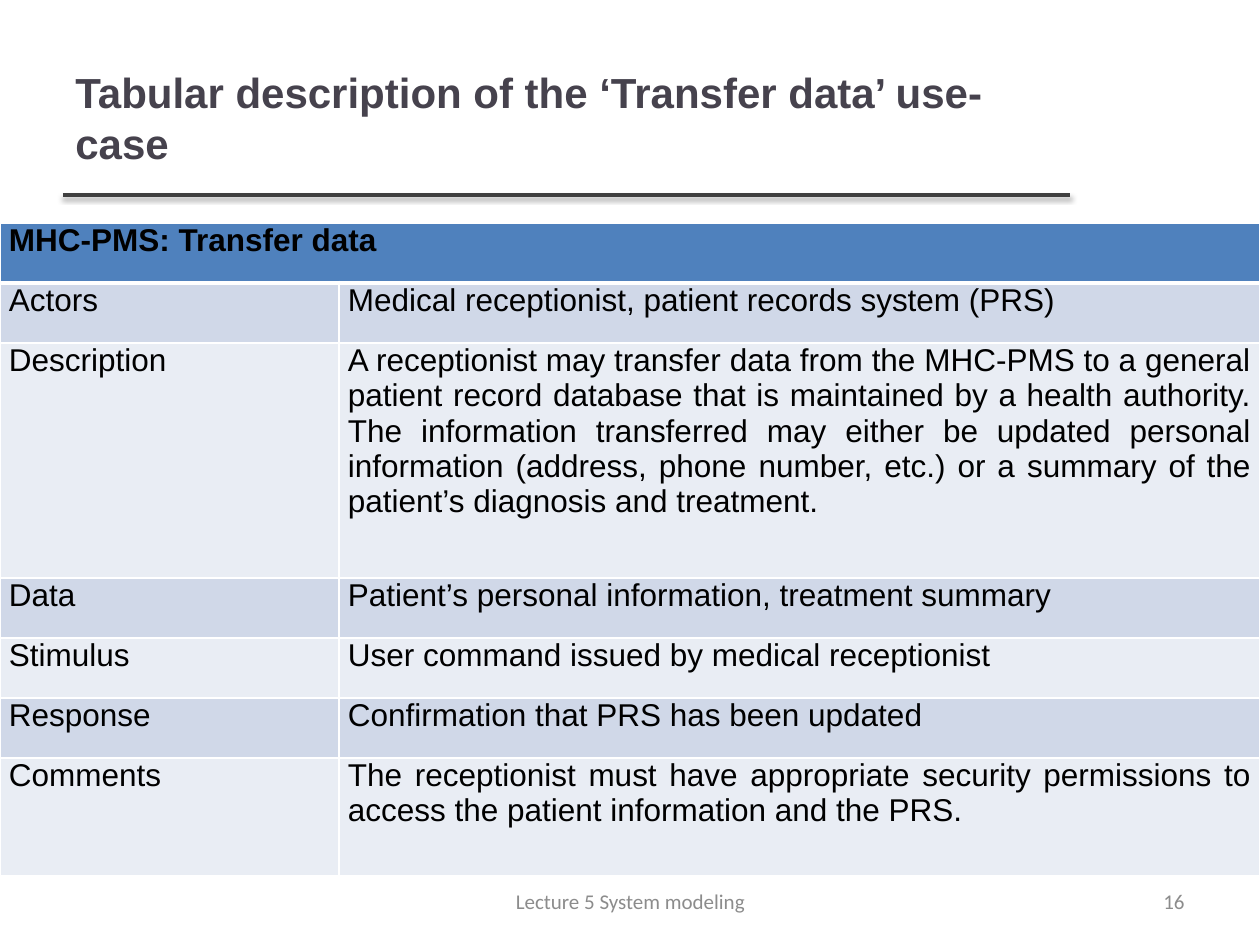
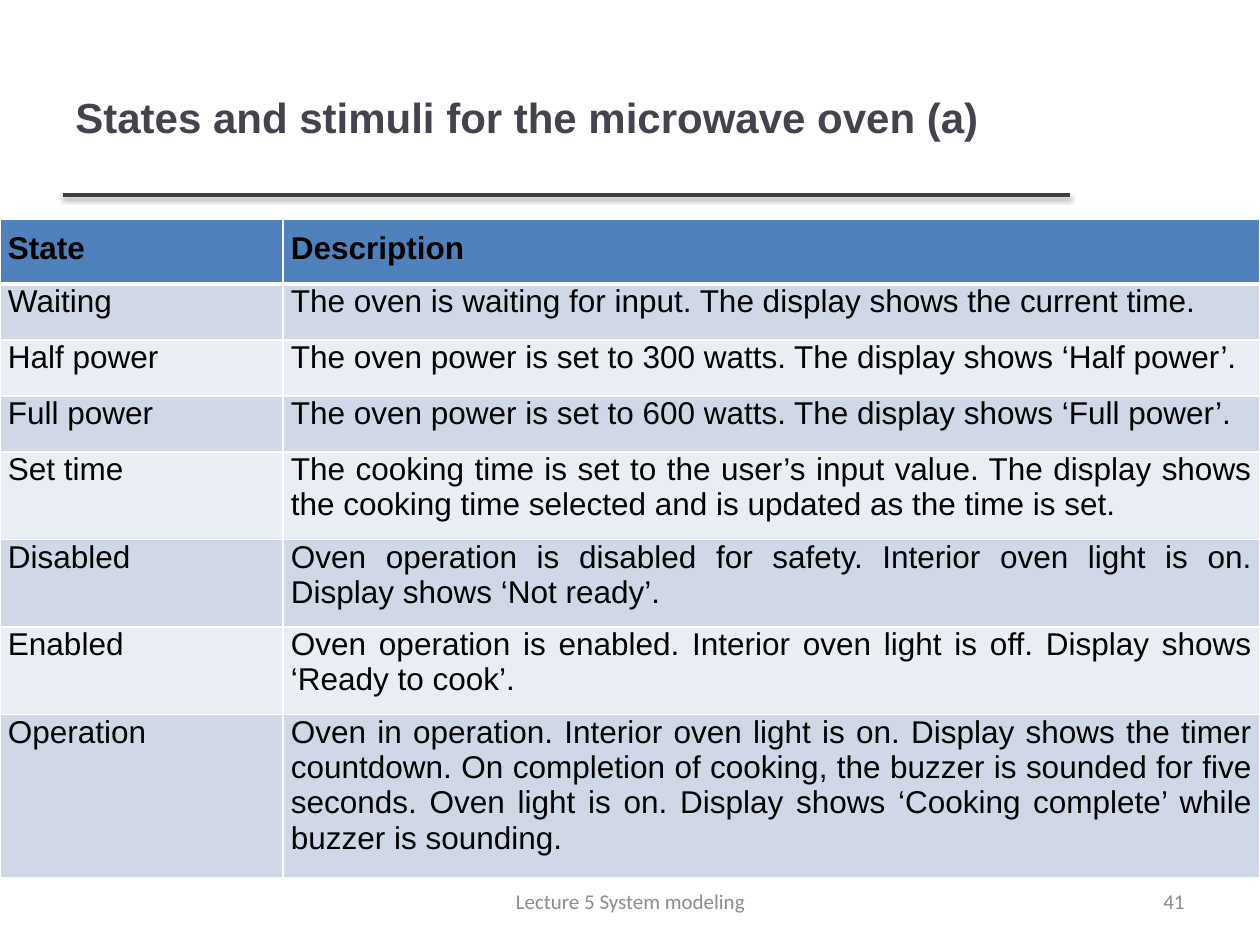
from lxml import etree
from pptx import Presentation
from pptx import util as u
from pptx.dml.color import RGBColor
from pptx.enum import shapes, text
from pptx.oxml.ns import qn

PX = 914400 // 126
PAGE_SIZE = (1260, 945)

WHITE = RGBColor(0xFF, 0xFF, 0xFF)
BLACK = RGBColor(0, 0, 0)
TITLE_COLOR = RGBColor(0x46, 0x42, 0x4D)
RULE_COLOR = RGBColor(0x40, 0x40, 0x40)
FOOTER_COLOR = RGBColor(0x8C, 0x8C, 0x8C)
HEADER_FILL = RGBColor(0x4F, 0x81, 0xBD)
BAND_FILLS = (RGBColor(0xD0, 0xD8, 0xE8), RGBColor(0xE9, 0xED, 0xF4))

FOOTER = "Lecture 5 System modeling"
TITLE_BOX = (63, 38, 1006, 158)
RULE = (63, 195, 1070, 195)
FOOTER_BOX = (431, 876, 399, 50)
NUMBER_BOX = (903, 876, 294, 50)

# Margins are left, top, right, bottom.
PAGES = [
    {
        "title": "Tabular description of the ‘Transfer data’ use-case",
        "number": 16,
        "top": 223,
        "columns": (339, 921),
        "heights": (60, 60, 235, 60, 60, 60, 118),
        "header_margins": (9, 0, 9, 0),
        "body_margins": (9, 0, 9, 0),
        "rows": [
            ("MHC-PMS: Transfer data",),
            ("Actors", "Medical receptionist, patient records system (PRS)"),
            ("Description",
             "A receptionist may transfer data from the MHC-PMS to a general patient "
             "record database that is maintained by a health authority. The information "
             "transferred may either be updated personal information (address, phone "
             "number, etc.) or a summary of the patient’s diagnosis and treatment."),
            ("Data", "Patient’s personal information, treatment summary"),
            ("Stimulus", "User command issued by medical receptionist"),
            ("Response", "Confirmation that PRS has been updated"),
            ("Comments",
             "The receptionist must have appropriate security permissions to access "
             "the patient information and the PRS."),
        ],
    },
    {
        "title": "States and stimuli for the microwave oven (a)",
        "number": 41,
        "top": 219,
        "columns": (283, 977),
        "heights": (65, 56, 56, 56, 87, 87, 87, 161),
        "header_margins": (8, 12, 8, 12),
        "body_margins": (8, 0, 8, 12),
        "rows": [
            ("State", "Description"),
            ("Waiting", "The oven is waiting for input. The display shows the current time."),
            ("Half power", "The oven power is set to 300 watts. The display shows ‘Half power’."),
            ("Full power", "The oven power is set to 600 watts. The display shows ‘Full power’."),
            ("Set time",
             "The cooking time is set to the user’s input value. The display shows the "
             "cooking time selected and is updated as the time is set."),
            ("Disabled",
             "Oven operation is disabled for safety. Interior oven light is on. "
             "Display shows ‘Not ready’."),
            ("Enabled",
             "Oven operation is enabled. Interior oven light is off. "
             "Display shows ‘Ready to cook’."),
            ("Operation",
             "Oven in operation. Interior oven light is on. Display shows the timer "
             "countdown. On completion of cooking, the buzzer is sounded for five seconds. "
             "Oven light is on. Display shows ‘Cooking complete’ while buzzer is sounding."),
        ],
    },
]


def scale(lengths):
    return [length * PX for length in lengths]


def style_paragraph(para, font, size, color, align, bold=False):
    para.alignment = align
    para.font.name = font
    para.font.size = u.Pt(size)
    para.font.color.rgb = color
    para.font.bold = bold


def add_text(page, place, words, *style):
    box = page.shapes.add_textbox(*scale(place))
    frame = box.text_frame
    frame.word_wrap = True
    frame.vertical_anchor = text.MSO_ANCHOR.MIDDLE
    frame.text = words
    style_paragraph(frame.paragraphs[0], *style)


def add_title_rule(page):
    rule = page.shapes.add_connector(shapes.MSO_CONNECTOR.STRAIGHT, *scale(RULE))
    rule.line.color.rgb = RULE_COLOR
    rule.line.width = u.Pt(2)
    effects = etree.SubElement(rule._element.spPr, qn("a:effectLst"))
    shadow = etree.SubElement(effects, qn("a:outerShdw"), blurRad="40000",
                              dist="20000", dir="5400000", rotWithShape="0")
    color = etree.SubElement(shadow, qn("a:srgbClr"), val=str(BLACK))
    etree.SubElement(color, qn("a:alpha"), val="38000")


def set_borders(cell, top, bottom):
    """Draw white borders, one point wide at the sides; they come before the fill."""
    properties = cell._tc.get_or_add_tcPr()
    widths = {"lnL": 1, "lnR": 1, "lnT": top, "lnB": bottom}
    for index, (side, width) in enumerate(widths.items()):
        border = etree.Element(qn(f"a:{side}"), w=str(u.Pt(width)))
        fill = etree.SubElement(border, qn("a:solidFill"))
        etree.SubElement(fill, qn("a:srgbClr"), val=str(WHITE))
        properties.insert(index, border)


def fill_cell(cell, words, row, margins):
    is_header = row == 0
    (cell.margin_left, cell.margin_top,
     cell.margin_right, cell.margin_bottom) = scale(margins)
    cell.fill.solid()
    cell.fill.fore_color.rgb = HEADER_FILL if is_header else BAND_FILLS[(row - 1) % 2]
    set_borders(cell, top=3 if row == 1 else 1, bottom=3 if is_header else 1)
    cell.text = words
    style_paragraph(cell.text_frame.paragraphs[0], "Arial", 18, BLACK,
                    text.PP_ALIGN.JUSTIFY, is_header)


def add_description_table(page, content):
    rows, columns, heights = content["rows"], content["columns"], content["heights"]
    place = (0, content["top"], sum(columns), sum(heights))
    table = page.shapes.add_table(len(rows), len(columns), *scale(place)).table
    for column, width in zip(table.columns, scale(columns)):
        column.width = width
    for index, (entries, height) in enumerate(zip(rows, scale(heights))):
        table.rows[index].height = height
        margins = content["body_margins" if index else "header_margins"]
        if len(entries) == 1:
            table.cell(index, 0).merge(table.cell(index, len(columns) - 1))
        for column, words in enumerate(entries):
            fill_cell(table.cell(index, column), words, index, margins)


def add_page(deck, content):
    page = deck.slides.add_slide(deck.slide_layouts[6])
    add_title_rule(page)
    add_text(page, TITLE_BOX, content["title"],
             "Arial", 24, TITLE_COLOR, text.PP_ALIGN.LEFT, True)
    add_description_table(page, content)
    add_text(page, NUMBER_BOX, str(content["number"]),
             "Calibri", 12, FOOTER_COLOR, text.PP_ALIGN.RIGHT)
    add_text(page, FOOTER_BOX, FOOTER,
             "Calibri", 12, FOOTER_COLOR, text.PP_ALIGN.CENTER)


def main():
    deck = Presentation()
    deck.slide_width, deck.slide_height = scale(PAGE_SIZE)
    for content in PAGES:
        add_page(deck, content)
    deck.save("out.pptx")


if __name__ == "__main__":
    main()
